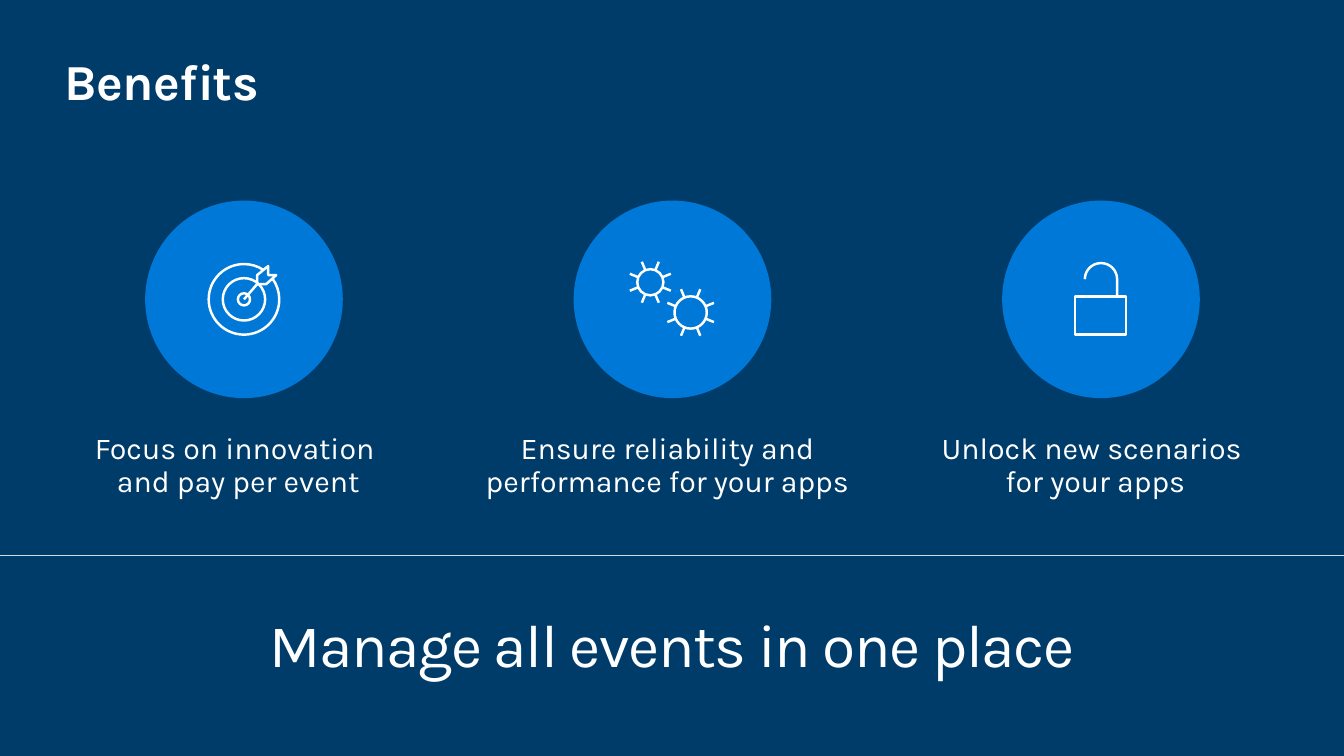
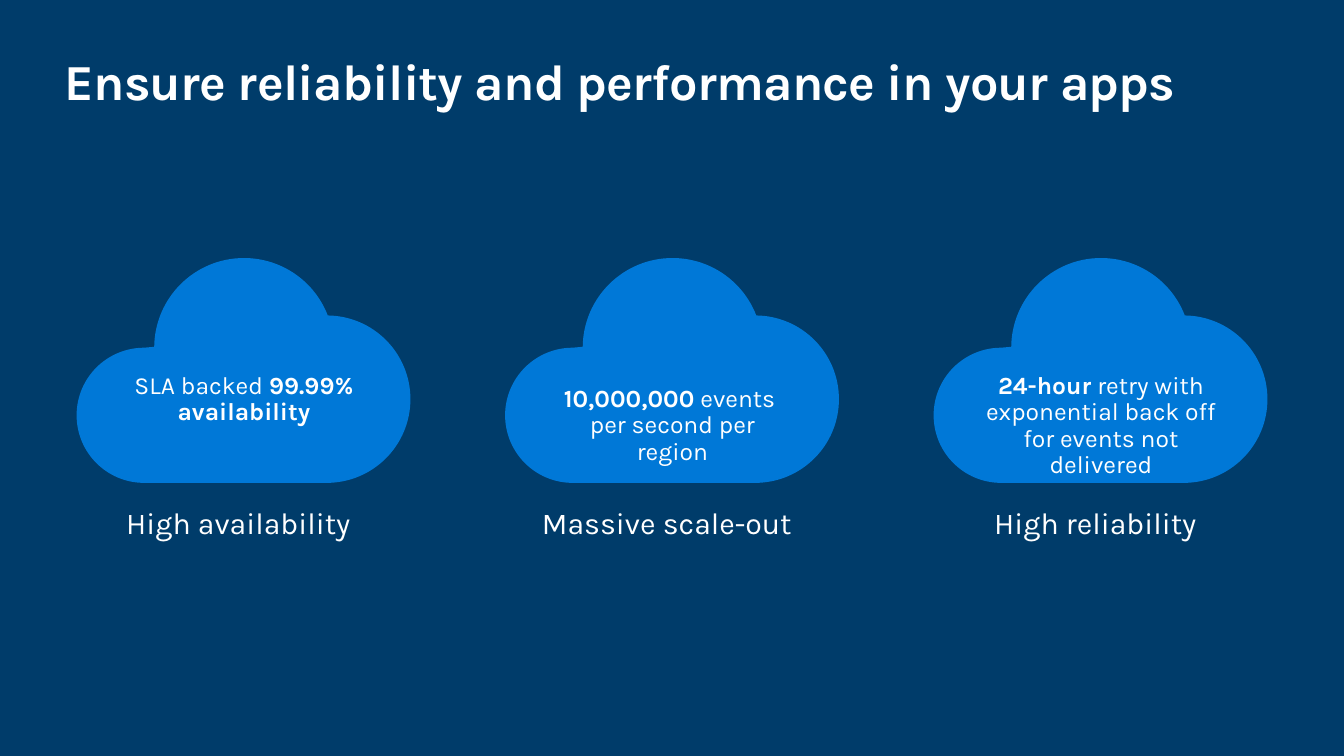
import math
from dataclasses import dataclass

from lxml import etree
from pptx import Presentation
from pptx.dml.color import RGBColor
from pptx.enum import shapes, text
from pptx.oxml.ns import qn
from pptx.util import Inches, Pt


@dataclass(frozen=True)
class Theme:
    font: str = "Karla"
    navy: RGBColor = RGBColor(0x00, 0x3C, 0x6A)
    blue: RGBColor = RGBColor(0x00, 0x78, 0xD7)
    white: RGBColor = RGBColor(0xFF, 0xFF, 0xFF)
    rule: RGBColor = RGBColor(0xD9, 0xD9, 0xD9)
    title_size: float = 36
    banner_size: float = 43.2
    label_size: float = 21.6
    cloud_size: float = 17.6
    label_insets: tuple = (0.1, 0.16, 0.2, 0.16)
    icon_line: float = 1.75


theme = Theme()


def write_text(page, place, runs, size, insets=(0.1, 0.05, 0.1, 0.05),
               align=text.PP_ALIGN.CENTER, line_spacing=0.9, tracking=0):
    """Place a text box; runs are (wording, bold) pairs and tracking is in points."""
    box = page.shapes.add_textbox(*map(Inches, place))
    frame = box.text_frame
    frame.word_wrap = True
    frame.auto_size = text.MSO_AUTO_SIZE.SHAPE_TO_FIT_TEXT
    (frame.margin_left, frame.margin_top,
     frame.margin_right, frame.margin_bottom) = map(Inches, insets)
    para = frame.paragraphs[0]
    para.alignment = align
    para.line_spacing = line_spacing
    for wording, bold in runs:
        for number, line in enumerate(wording.split("\n")):
            if number:
                para.add_line_break()
            span = para.add_run()
            span.text = line
            span.font.name = theme.font
            span.font.size = Pt(size)
            span.font.bold = bold
            span.font.color.rgb = theme.white
            if tracking:
                span._r.get_or_add_rPr().set("spc", str(round(tracking * 100)))


def draw_outline(page, center, contours, color, width, fill=None):
    """Draw contours around a center: each is (closed, pieces).

    A piece is a corner (x, y) or an arc (x, y, radius, start, end) in degrees.
    Arcs become Bezier curves, split at every quarter turn.
    """
    builder = None
    curve_flags = []
    for closed, pieces in contours:
        points, flags = [], []
        for x, y, *arc in pieces:
            radius, start, end = arc or (0, 0, 0)
            low, high = sorted((start, end))
            quarters = [turn for turn in range(-360, 541, 90) if low < turn < high]
            stops = sorted({start, end, *quarters}, reverse=start > end)
            angles = [math.radians(stop) for stop in stops]
            local = [(math.cos(angles[0]), math.sin(angles[0]))]
            flags.append(False)
            for first, last in zip(angles, angles[1:]):
                pull = 4 / 3 * math.tan((last - first) / 4)
                local += [
                    (math.cos(first) - pull * math.sin(first),
                     math.sin(first) + pull * math.cos(first)),
                    (math.cos(last) + pull * math.sin(last),
                     math.sin(last) - pull * math.cos(last)),
                    (math.cos(last), math.sin(last)),
                ]
                flags += [True, False, False]
            points += [(Inches(center[0] + x + radius * across),
                        Inches(center[1] + y + radius * down)) for across, down in local]
        if builder is None:
            builder = page.shapes.build_freeform(*points[0], scale=1.0)
        else:
            builder.move_to(*points[0])
        builder.add_line_segments(points[1:], close=closed)
        curve_flags += flags[1:]
    outline = builder.convert_to_shape()

    # Turn each run of three control points into one curve
    segments = list(outline._element.iter(qn("a:lnTo")))
    for index, starts_curve in enumerate(curve_flags):
        if starts_curve:
            curve = segments[index]
            curve.addprevious(bezier := etree.Element(qn("a:cubicBezTo")))
            for segment in segments[index:index + 3]:
                bezier.append(segment[0])
                segment.getparent().remove(segment)

    outline.shadow.inherit = False
    outline.line.color.rgb = color
    outline.line.width = Pt(width)
    if fill is None:
        outline.fill.background()
    else:
        outline.fill.solid()
        outline.fill.fore_color.rgb = fill


# Deck, shared background and titles
deck = Presentation()
deck.slide_width, deck.slide_height = Inches(13.33), Inches(7.5)
master_fill = deck.slide_master.background.fill
master_fill.solid()
master_fill.fore_color.rgb = theme.navy

pages = []
for title in ("Benefits", "Ensure reliability and performance in your apps"):
    page = deck.slides.add_slide(deck.slide_layouts[6])
    write_text(page, (0.64, 0.5, 12.05, 0.61), [(title, True)], theme.title_size,
               insets=(0, 0, 0, 0), align=text.PP_ALIGN.LEFT, line_spacing=1.0,
               tracking=-0.5)
    pages.append(page)
benefits, reliability = pages

column_centers = [2.42 + 4.25 * column for column in range(3)]

# Icons, relative to the badge center
target = [
    (False, [(0, 0, 0.35, -37, 303)]),
    (True, [(0, 0, 0.21, 0, 360)]),
    (True, [(0, 0, 0.06, 0, 360)]),
    (False, [(0, 0), (0.13, -0.15)]),
    (True, [(0.32, -0.24), (0.24, -0.24), (0.24, -0.33),
            (0.13, -0.24), (0.13, -0.15), (0.22, -0.15)]),
]
gears = []
for x, y, radius, tooth_tip in ((-0.22, -0.17, 0.13, 0.22), (0.18, 0.13, 0.16, 0.25)):
    gears.append((True, [(x, y, radius, 0, 360)]))
    for tooth in range(8):
        angle = math.radians(22.5 + 45 * tooth)
        gears.append((False, [(x + reach * math.cos(angle), y + reach * math.sin(angle))
                              for reach in (radius, tooth_tip)]))
padlock = [
    (True, [(0.25, 0.35), (-0.26, 0.35), (-0.26, -0.03), (0.25, -0.03)]),
    (False, [(0.16, -0.03), (0, -0.2, 0.16, 0, -180)]),
]

# Benefits: badges with labels
badge_size, badge_middle = 1.96, 2.97
benefit_columns = [
    (target, "Focus on innovation \nand pay per event", 0.65, 3.53),
    (gears, "Ensure reliability and performance for your apps", 4.61, 4.12),
    (padlock, "Unlock new scenarios \nfor your apps", 9.15, 3.53),
]
for center, (icon, label, left, width) in zip(column_centers, benefit_columns):
    badge = benefits.shapes.add_shape(
        shapes.MSO_SHAPE.OVAL, Inches(center - badge_size / 2),
        Inches(badge_middle - badge_size / 2), Inches(badge_size), Inches(badge_size))
    badge.shadow.inherit = False
    badge.fill.solid()
    badge.fill.fore_color.rgb = theme.blue
    badge.line.fill.background()
    draw_outline(benefits, (center, badge_middle), icon, theme.white, theme.icon_line)
    write_text(benefits, (left, 4.14, width, 0.98), [(label, False)],
               theme.label_size, insets=theme.label_insets)

# Benefits: divider and closing line
divider = benefits.shapes.add_connector(
    shapes.MSO_CONNECTOR.STRAIGHT, 0, Inches(5.51), deck.slide_width, Inches(5.51))
divider.line.color.rgb = theme.rule
divider.line.width = Pt(1)
etree.SubElement(divider._element.spPr, qn("a:effectLst"))
write_text(benefits, (0.29, 6, 12.75, 0.86), [("Manage all events in one place", False)],
           theme.banner_size, insets=(0.16, 0.1, 0.16, 0.1), tracking=-1)

# Reliability: clouds of three lobes, with a promise inside and a label below
cloud = [(True, [(0, 0, 0.88, 180, 339), (0.82, 0.51, 0.82, 270, 450),
                 (-0.99, 0.67, 0.66, 90, 270)])]
cloud_columns = [
    ("High availability", [("SLA backed ", False), ("99.99% availability", True)],
     (3.65, 2.58, 0.63)),
    ("Massive scale-out", [("10,000,000", True), (" events \nper second per region", False)],
     (3.78, 2.58, 0.64)),
    ("High reliability",
     [("24-hour", True), (" retry with exponential back off for events not delivered", False)],
     (3.65, 2.75, 0.9)),
]
for center, (label, promise, (top, width, height)) in zip(column_centers, cloud_columns):
    draw_outline(reliability, (center, 3.45), cloud, theme.blue, 1.5, fill=theme.blue)
    write_text(reliability, (center - width / 2, top, width, height), promise,
               theme.cloud_size)
    write_text(reliability, (center - 1.77, 4.88, 3.53, 0.65), [(label, False)],
               theme.label_size, insets=theme.label_insets)

deck.save("out.pptx")
